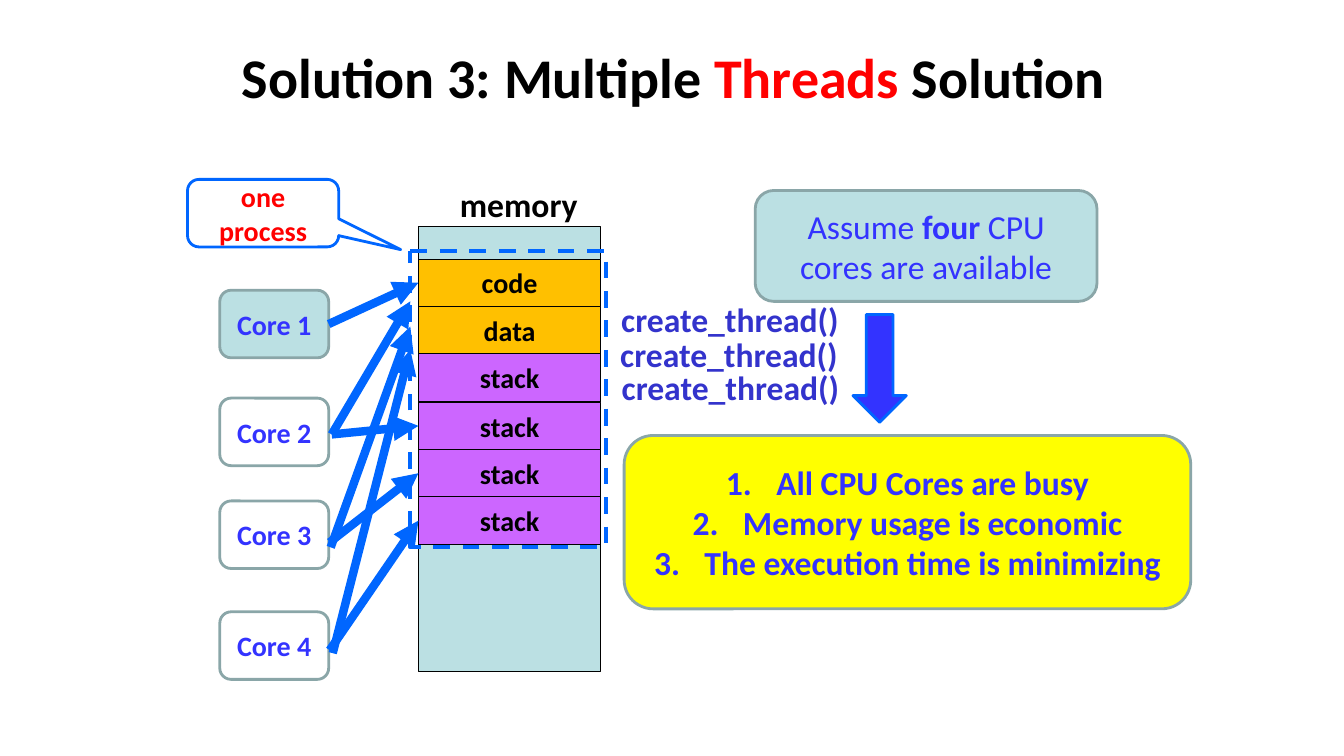
"""Build the slide on running four cores with threads that share one process."""
from lxml import etree
from pptx import Presentation
from pptx import util as u
from pptx.dml.color import RGBColor
from pptx.enum import dml, shapes, text
from pptx.oxml import ns

PX = 9144
FONT = "Calibri"
BLACK = RGBColor(0x00, 0x00, 0x00)
RED = RGBColor(0xFF, 0x00, 0x00)
BLUE = RGBColor(0x33, 0x33, 0xFF)
CODE_BLUE = RGBColor(0x33, 0x33, 0xCC)
ARROW_BLUE = RGBColor(0x00, 0x66, 0xFF)
TEAL = RGBColor(0xBB, 0xE0, 0xE3)
EDGE = RGBColor(0x8A, 0xA6, 0xA8)
ORANGE = RGBColor(0xFF, 0xC0, 0x00)
PURPLE = RGBColor(0xCC, 0x66, 0xFF)
YELLOW = RGBColor(0xFF, 0xFF, 0x00)

CARD = shapes.MSO_SHAPE.FLOWCHART_ALTERNATE_PROCESS
RECTANGLE = shapes.MSO_SHAPE.RECTANGLE
SEGMENTS = [("code", ORANGE), ("data", ORANGE)] + [("stack", PURPLE)] * 4
SEGMENT_TOP, SEGMENT_PITCH = 257, 47.2
CORE_TOPS = [288, 395, 497, 607]
STACK_ARROW_STARTS = [(329, 431), (327, 538), (327, 645)]
DATA_ARROWS = [(329, 431, 407, 299), (328, 543, 407, 324), (330, 648, 407, 347)]
CALLS = [(589, 292, 270), (587, 326, 272), (591, 359, 267)]
BENEFITS = ["All CPU Cores are busy", "Memory usage is economic",
            "The execution time is minimizing"]


def px(*lengths):
    return [u.Emu(length * PX) for length in lengths]


def set_values(target, values):
    for name, value in values.items():
        setattr(target, name, value)


def add_run(paragraph, words, size, color, bold=True):
    run = paragraph.add_run()
    run.text = words
    set_values(run.font, {"name": FONT, "size": u.Pt(size), "bold": bold})
    run.font.color.rgb = color


def number_paragraph(paragraph):
    properties = paragraph._p.get_or_add_pPr()
    properties.set("marL", str(50 * PX))
    properties.set("indent", str(-50 * PX))
    etree.SubElement(properties, ns.qn("a:buFont"), typeface="+mj-lt")
    etree.SubElement(properties, ns.qn("a:buAutoNum"), type="arabicPeriod")


def write(shape, lines, size, color, wrap=True, numbered=False):
    frame = shape.text_frame
    set_values(frame, {"word_wrap": wrap,
                       "vertical_anchor": text.MSO_ANCHOR.MIDDLE})
    for index, line in enumerate(lines):
        paragraph = frame.add_paragraph() if index else frame.paragraphs[0]
        if numbered:
            number_paragraph(paragraph)
        paragraph.alignment = text.PP_ALIGN.CENTER
        add_run(paragraph, line, size, color)


def add_box(slide, kind, place, fill, edge, width):
    shape = slide.shapes.add_shape(kind, *px(*place))
    shape.shadow.inherit = False
    if fill is None:
        shape.fill.background()
    else:
        shape.fill.solid()
        shape.fill.fore_color.rgb = fill
    shape.line.color.rgb = edge
    shape.line.width = u.Pt(width)
    return shape


def add_label(slide, words, place, color):
    label = slide.shapes.add_textbox(*px(*place))
    write(label, [words], 24, color)
    label.text_frame.vertical_anchor = text.MSO_ANCHOR.TOP


def add_arrow(slide, start, end, source=None, target=None):
    arrow = slide.shapes.add_connector(
        shapes.MSO_CONNECTOR.STRAIGHT, *px(*start, *end))
    if source is not None:
        arrow.begin_connect(source, 3)
    if target is not None:
        arrow.end_connect(target, 1)
    arrow.line.color.rgb = ARROW_BLUE
    arrow.line.width = u.Pt(6)
    etree.SubElement(arrow.line._get_or_add_ln(), ns.qn("a:tailEnd"),
                     type="triangle")
    etree.SubElement(arrow._element.spPr, ns.qn("a:effectLst"))


def add_title(slide):
    title = slide.shapes.title
    left, top, width, height = px(68, 13, 1200, 125)
    set_values(title, {"left": left, "top": top,
                       "width": width, "height": height})
    title.text_frame.vertical_anchor = text.MSO_ANCHOR.MIDDLE
    paragraph = title.text_frame.paragraphs[0]
    paragraph.alignment = text.PP_ALIGN.CENTER
    for words, color in [("Solution 3: Multiple ", BLACK),
                         ("Threads", RED), (" Solution", BLACK)]:
        add_run(paragraph, words, 40, color)


def add_memory(slide):
    add_box(slide, RECTANGLE, (415, 225, 181, 441), TEAL, BLACK, 0.75)
    add_label(slide, "memory", (428, 178, 173, 50), BLACK)
    segments = []
    for index, (name, fill) in enumerate(SEGMENTS):
        top = round(SEGMENT_TOP + index * SEGMENT_PITCH)
        segment = add_box(slide, RECTANGLE, (415, top, 181, 47),
                          fill, BLACK, 0.75)
        write(segment, [name], 20, BLACK, wrap=False)
        segments.append(segment)
    return segments


def add_cores(slide):
    cores = []
    for index, top in enumerate(CORE_TOPS):
        core = add_box(slide, CARD, (218, top, 108, 67),
                       None if index else TEAL, EDGE, 2)
        write(core, [f"Core {index + 1}"], 20, BLUE)
        cores.append(core)
    return cores


def add_notes_column(slide):
    assumption = add_box(slide, CARD, (749, 189, 339, 110), TEAL, EDGE, 2)
    write(assumption, [], 24, BLUE)
    paragraph = assumption.text_frame.paragraphs[0]
    paragraph.alignment = text.PP_ALIGN.CENTER
    for words, bold in [("Assume ", False), ("four", True),
                        (" CPU cores are available", False)]:
        add_run(paragraph, words, 24, BLUE, bold)
    add_box(slide, shapes.MSO_SHAPE.DOWN_ARROW, (846, 312, 53, 107),
            BLUE, ARROW_BLUE, 2)
    benefits = add_box(slide, CARD, (619, 432, 562, 172), YELLOW, EDGE, 2)
    write(benefits, BENEFITS, 24, BLUE, numbered=True)
    for left, top, width in CALLS:
        add_label(slide, "create_thread()", (left, top, width, 50), CODE_BLUE)


def add_process(slide):
    outline = add_box(slide, shapes.MSO_SHAPE.FLOWCHART_PROCESS,
                      (407, 249, 194, 294), None, ARROW_BLUE, 3)
    outline.line.dash_style = dml.MSO_LINE.DASH
    callout = add_box(slide, shapes.MSO_SHAPE.ROUNDED_RECTANGULAR_CALLOUT,
                      (186, 178, 150, 67), None, ARROW_BLUE, 2)
    for index, value in enumerate([0.91, 0.54, 0.17]):
        callout.adjustments[index] = value
    write(callout, ["one process"], 20, RED)


def main():
    presentation = Presentation()
    width, height = px(1333, 750)
    set_values(presentation, {"slide_width": width, "slide_height": height})
    slide = presentation.slides.add_slide(presentation.slide_layouts[5])
    add_title(slide)
    segments = add_memory(slide)
    cores = add_cores(slide)
    add_notes_column(slide)
    add_arrow(slide, (326, 322), (415, 281), cores[0], segments[0])
    for left, top, right, bottom in DATA_ARROWS:
        add_arrow(slide, (left, top), (right, bottom))
    for start, stack in zip(STACK_ARROW_STARTS, segments[3:]):
        add_arrow(slide, start, (415, 422), target=stack)
    add_process(slide)
    presentation.save("out.pptx")


if __name__ == "__main__":
    main()
